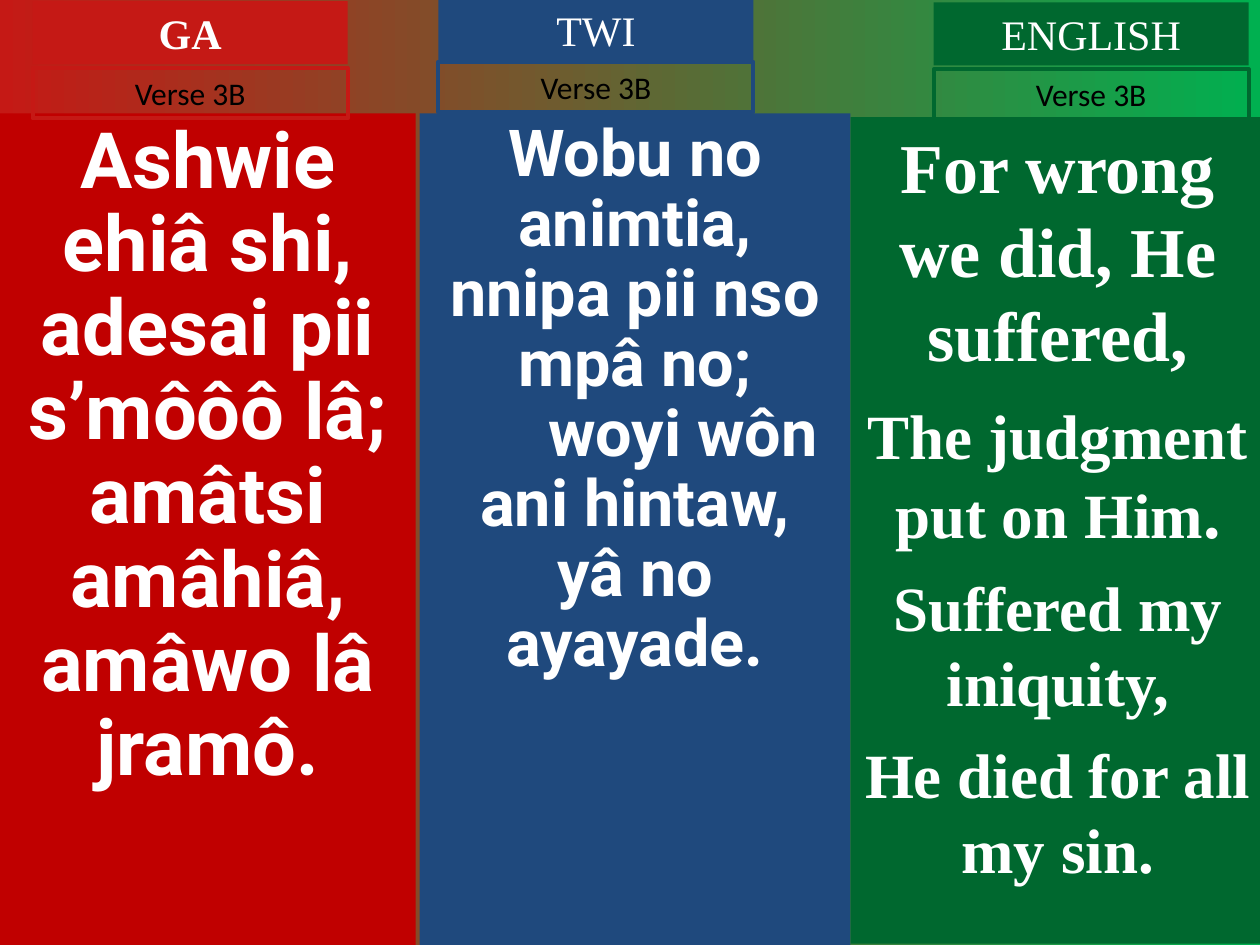
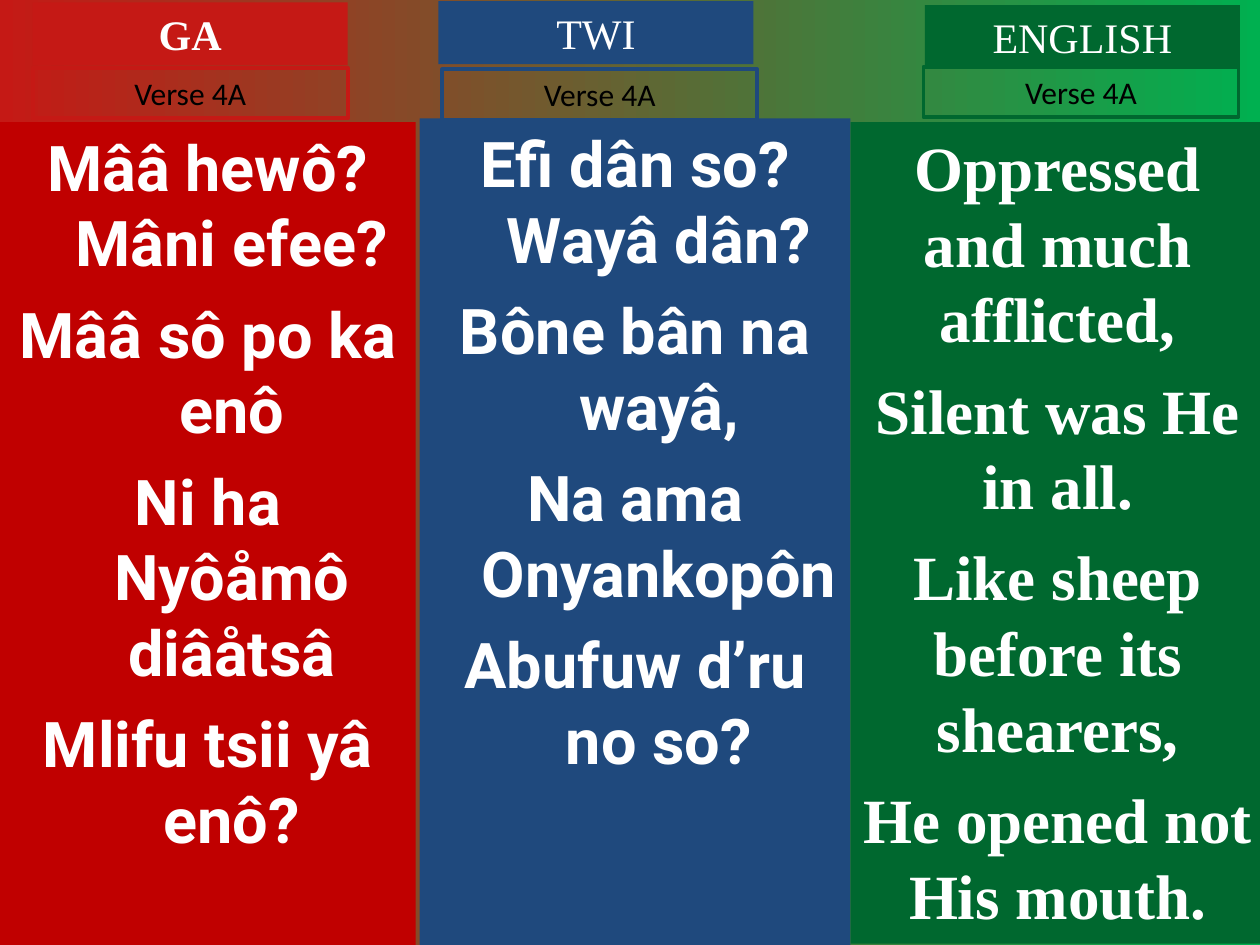
from pptx import Presentation
from pptx.dml.color import RGBColor
from pptx.enum.shapes import MSO_SHAPE as SHAPE
from pptx.enum.text import MSO_ANCHOR as ANCHOR, PP_ALIGN as ALIGN
from pptx.util import Inches, Pt

RED, BLUE, GREEN = "C51915", "1F497D", "00682F"
WHITE, BLACK = "FFFFFF", "000000"
SERIF, SANS, LABEL = "Times New Roman", "Roboto", "Calibri"


def rgb(value):
    return RGBColor.from_string(value)


def add_panel(slide, at, lines, *, fill=None, border=None, font=SERIF, color=WHITE,
              bold=False, size=36, leading=None, before=0, hanging=0):
    """Each line is a string or a dict with its runs, space before and first-line indent."""
    panel = slide.shapes.add_shape(SHAPE.RECTANGLE, *[Inches(v) for v in at])
    panel.shadow.inherit = False
    if fill:
        panel.fill.solid()
        panel.fill.fore_color.rgb = rgb(fill)
    else:
        panel.fill.background()
    if border:
        panel.line.color.rgb = rgb(border)
        panel.line.width = Pt(2.25)
    else:
        panel.line.fill.background()

    frame = panel.text_frame
    frame.word_wrap = True
    frame.vertical_anchor = ANCHOR.TOP
    for number, line in enumerate(lines):
        if isinstance(line, str):
            line = {"runs": [(line, size)]}
        runs = line["runs"]
        paragraph = frame.paragraphs[0] if number == 0 else frame.add_paragraph()
        paragraph.alignment = ALIGN.CENTER
        if number and before:
            paragraph.space_before = Pt(line.get("before", before))
        if leading:
            mean_size = sum(points for _, points in runs) / len(runs)
            paragraph.line_spacing = Pt(round(leading * mean_size, 1))
        indent = line.get("indent", -hanging)
        if indent:
            properties = paragraph._p.get_or_add_pPr()
            properties.set("marL", str(Inches(hanging)))
            properties.set("indent", str(Inches(indent)))
        for text, points in runs:
            run = paragraph.add_run()
            run.text = text
            run.font.name = font
            run.font.size = Pt(points)
            run.font.bold = bold
            run.font.color.rgb = rgb(color)


# Columns shared by both slides: language, heading colour, body colour, left, width, font
COLUMNS = [
    ("GA", RED, "C00000", 0, 3.3, SANS),
    ("TWI", BLUE, BLUE, 3.33, 3.42, SANS),
    ("ENGLISH", GREEN, GREEN, 6.75, 3.29, SERIF),
]

# Per column: heading position, verse label position, body top and height, format, lines
VERSES = [
    ("Verse 3B", [
        ((0.26, 0.01), (0.26, 0.54), (0.9, 6.6), dict(size=44.4, leading=1.08), [
            "Ashwie ehiâ shi,",
            "adesai pii s’môôô lâ;",
            "amâtsi amâhiâ,",
            "amâwo lâ jramô.",
        ]),
        ((3.48, -0.01), (3.48, 0.49), (0.9, 6.6), dict(size=37, leading=1.08), [
            "Wobu no animtia,",
            "nnipa pii nso mpâ no;",
            {"runs": [("woyi wôn ani hintaw,", 37)], "indent": 0.76},
            "yâ no ayayade.",
        ]),
        ((7.41, 0.02), (7.41, 0.55), (0.93, 6.56), dict(leading=1.2, before=9), [
            {"runs": [("For wrong we did, He suffered,", 40)]},
            {"runs": [("The judgment put on Him", 36), (".", 40)], "before": 10},
            "Suffered my iniquity,",
            "He died for all my sin.",
        ]),
    ]),
    ("Verse 4A", [
        ((0.26, 0.02), (0.26, 0.54), (0.97, 6.53), dict(leading=1.2, before=9, hanging=0.38), [
            "Mââ hewô? Mâni efee?",
            "Mââ sô po ka enô",
            "Ni ha Nyôåmô diâåtsâ",
            "Mlifu tsii yâ enô?",
        ]),
        ((3.48, 0.01), (3.51, 0.55), (0.94, 6.56), dict(leading=1.2, before=9, hanging=0.38), [
            "Efi dân so? Wayâ dân?",
            "Bône bân na wayâ,",
            "Na ama Onyankopôn",
            "Abufuw d’ru no so?",
        ]),
        ((7.34, 0.04), (7.33, 0.53), (0.97, 6.52), dict(leading=1.2, before=9), [
            "Oppressed and much afflicted,",
            "Silent was He in all.",
            "Like sheep before its shearers,",
            "He opened not His mouth.",
        ]),
    ]),
]

deck = Presentation()
deck.slide_width, deck.slide_height = Inches(10), Inches(7.5)

for verse, stanzas in VERSES:
    slide = deck.slides.add_slide(deck.slide_layouts[6])

    # Red to green background, left to right
    backdrop = slide.background.fill
    backdrop.gradient()
    backdrop.gradient_angle = 0
    for stop, shade in zip(backdrop.gradient_stops, (RED, "00B050")):
        stop.color.rgb = rgb(shade)

    # Stanza, language heading and verse label of each column
    for column, stanza in zip(COLUMNS, stanzas):
        language, accent, body, left, width, font = column
        heading_at, label_at, (top, height), style, lines = stanza
        add_panel(slide, (left, top, width, height), lines,
                  fill=body, font=font, bold=True, **style)
        add_panel(slide, (*heading_at, 2.5, 0.5), [language],
                  fill=accent, size=24, bold=language == "GA")
        add_panel(slide, (*label_at, 2.5, 0.4), [verse],
                  border=accent, font=LABEL, size=18, color=BLACK)

deck.save("out.pptx")
